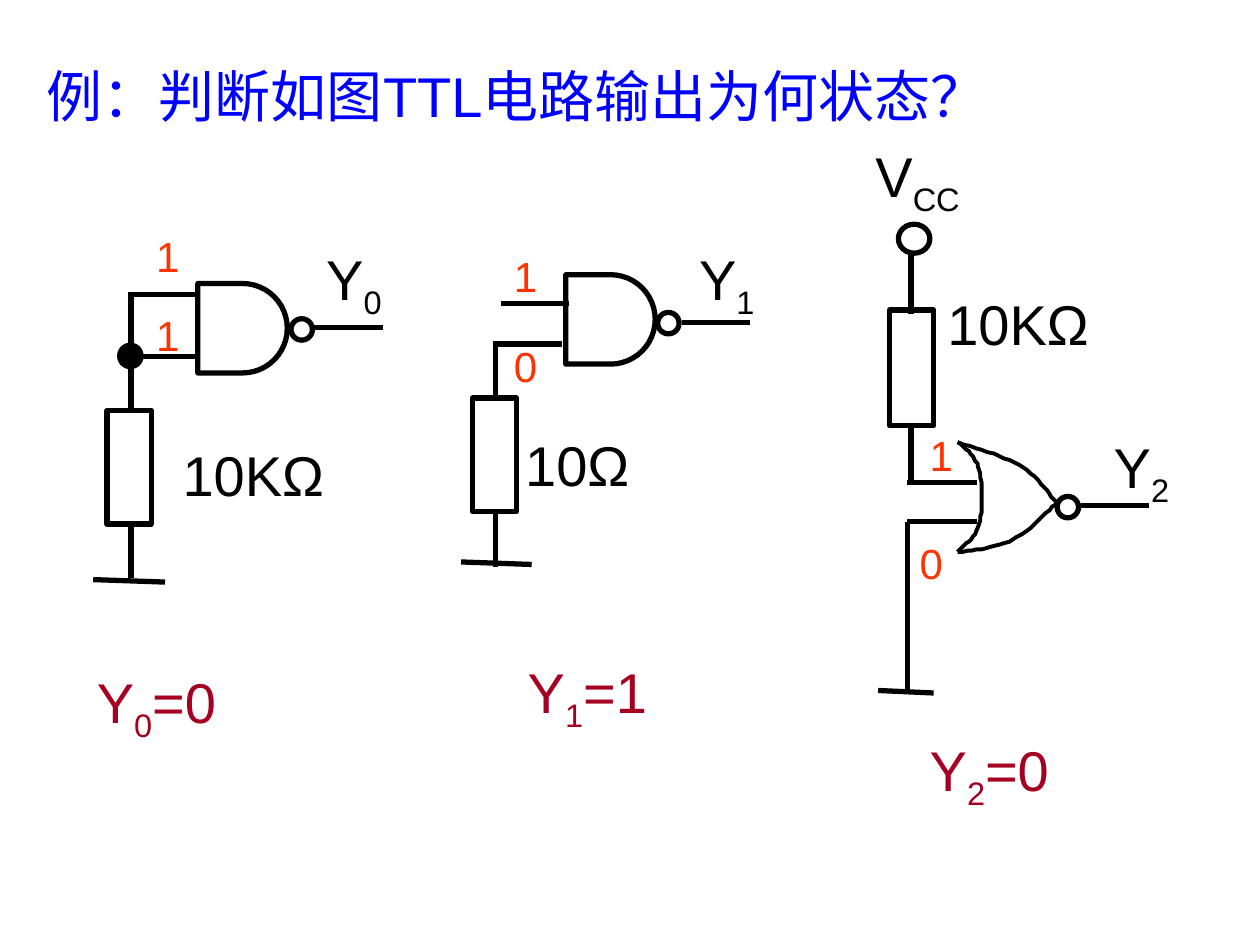
"""Builds a slide asking for the output state of three TTL gate circuits."""
from lxml.etree import SubElement
from pptx import Presentation
from pptx.dml.color import RGBColor
from pptx.enum.shapes import MSO_CONNECTOR, MSO_SHAPE
from pptx.enum.text import MSO_ANCHOR, MSO_AUTO_SIZE, PP_ALIGN
from pptx.oxml.ns import qn
from pptx.util import Pt

PX = 9144
STEPS = 12
COLORS = {"ink": "000000", "title": "0000FF", "level": "FF3300", "answer": "A50021"}


def write(sp, text, sub, rest, size, color, wrap):
    tf = sp.text_frame
    tf.word_wrap = wrap
    tf.auto_size = MSO_AUTO_SIZE.NONE
    tf.vertical_anchor = MSO_ANCHOR.TOP
    p = tf.paragraphs[0]
    p.alignment = PP_ALIGN.LEFT
    for part, base in ((text, 0), (sub, -25000), (rest, 0)):
        if part:
            r = p.add_run()
            r.text = part
            r.font.name = "Arial"
            r.font.size = Pt(size)
            r.font.color.rgb = RGBColor.from_string(COLORS[color])
            if base:
                r.font._element.set("baseline", str(base))


def outline(sp, width=3, filled=False):
    sp.shadow.inherit = False
    if filled:
        sp.fill.solid()
        sp.fill.fore_color.rgb = RGBColor.from_string(COLORS["ink"])
    else:
        sp.fill.background()
    sp.line.color.rgb = RGBColor.from_string(COLORS["ink"])
    sp.line.width = Pt(width)


prs = Presentation()
prs.slide_width, prs.slide_height = 1000 * PX, 750 * PX
s = prs.slides.add_slide(prs.slide_layouts[5])

title = s.shapes.title
title.left, title.top, title.width, title.height = 27 * PX, 44 * PX, 861 * PX, 64 * PX
write(title, "例：判断如图TTL电路输出为何状态？", "", "", 32, "title", True)

wires = [
    (104, 232, 104, 287), (74, 460, 131, 462), (104, 234, 158, 234),
    (102, 283, 157, 283), (249, 260, 304, 260), (104, 459, 104, 414),
    (104, 328, 104, 282),
    (366, 446, 422, 448), (398, 241, 452, 241), (541, 256, 595, 256),
    (391, 273, 446, 273), (393, 450, 393, 404), (393, 318, 393, 273),
    (720, 383, 775, 383), (697, 548, 741, 550), (720, 414, 775, 414),
    (858, 401, 912, 401), (723, 383, 723, 336), (723, 249, 723, 202),
    (720, 414, 720, 548),
]
for wire in wires:
    c = s.shapes.add_connector(MSO_CONNECTOR.STRAIGHT, *[v * PX for v in wire])
    c.line.color.rgb = RGBColor.from_string(COLORS["ink"])
    c.line.width = Pt(3)
    SubElement(c._element.spPr, qn("a:effectLst"))

parts = [
    (MSO_SHAPE.OVAL, 95, 274, 17, 17, True),
    (MSO_SHAPE.OVAL, 231, 253, 17, 17, False),
    (MSO_SHAPE.OVAL, 522, 248, 17, 17, False),
    (MSO_SHAPE.OVAL, 839, 394, 17, 17, False),
    (MSO_SHAPE.OVAL, 713, 178, 25, 23, False),
    (MSO_SHAPE.RECTANGLE, 85, 326, 35, 90, False),
    (MSO_SHAPE.RECTANGLE, 375, 316, 35, 90, False),
    (MSO_SHAPE.RECTANGLE, 706, 246, 35, 92, False),
    (MSO_SHAPE.FLOWCHART_DELAY, 157, 225, 71, 71, False),
    (MSO_SHAPE.FLOWCHART_DELAY, 449, 218, 71, 71, False),
]
for kind, x, y, w, h, filled in parts:
    sp = s.shapes.add_shape(kind, x * PX, y * PX, w * PX, h * PX)
    outline(sp, filled=filled)

nor_curves = [
    [(760, 351), (767, 357), (775, 362), (777, 373), (780, 384), (780, 406),
     (777, 416), (775, 427), (763, 434), (760, 438)],
    [(760, 351), (780, 357), (799, 363), (812, 371), (825, 379), (834, 395), (839, 399)],
    [(760, 438), (775, 436), (791, 435), (804, 428), (817, 422), (833, 404), (839, 399)],
]
for curve in nor_curves:
    points = []
    for i in range(0, len(curve) - 1, 3):
        a, b, c, d = curve[i:i + 4]
        for n in range(1, STEPS + 1):
            t = n / STEPS
            u = 1 - t
            points.append([u**3 * a[k] + 3 * u * u * t * b[k] + 3 * u * t * t * c[k] + t**3 * d[k]
                           for k in (0, 1)])
    builder = s.shapes.build_freeform(*curve[0], scale=PX)
    builder.add_line_segments(points, close=False)
    outline(builder.convert_to_shape(), 2.25)

labels = [
    (135, 345, 132, 64, "10KΩ", "", "", 32, "ink"),
    (407, 337, 103, 64, "10Ω", "", "", 32, "ink"),
    (742, 225, 132, 64, "10KΩ", "", "", 32, "ink"),
    (249, 189, 64, 71, "Y", "0", "", 32, "ink"),
    (545, 189, 64, 71, "Y", "1", "", 32, "ink"),
    (874, 338, 64, 71, "Y", "2", "", 32, "ink"),
    (685, 107, 87, 71, "V", "CC", "", 32, "ink"),
    (67, 525, 114, 71, "Y", "0", "=0", 32, "answer"),
    (409, 517, 114, 71, "Y", "1", "=1", 32, "answer"),
    (728, 579, 114, 71, "Y", "2", "=0", 32, "answer"),
    (114, 178, 39, 50, "1", "", "", 24, "level"),
    (114, 241, 47, 50, "1", "", "", 24, "level"),
    (398, 194, 55, 50, "1", "", "", 24, "level"),
    (398, 265, 55, 50, "0", "", "", 24, "level"),
    (728, 336, 55, 50, "1", "", "", 24, "level"),
    (720, 422, 55, 50, "0", "", "", 24, "level"),
]
for x, y, w, h, text, sub, rest, size, color in labels:
    sp = s.shapes.add_textbox(x * PX, y * PX, w * PX, h * PX)
    write(sp, text, sub, rest, size, color, color == "level")

prs.save("out.pptx")
